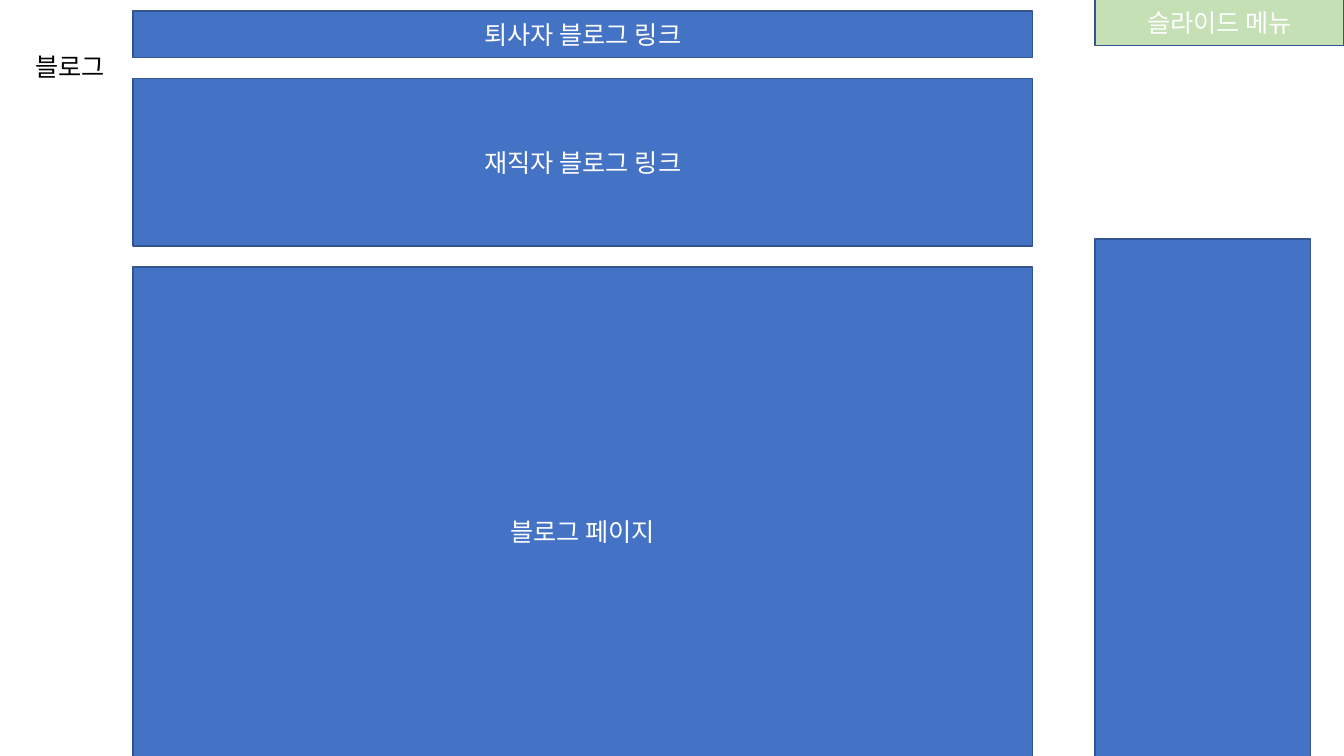
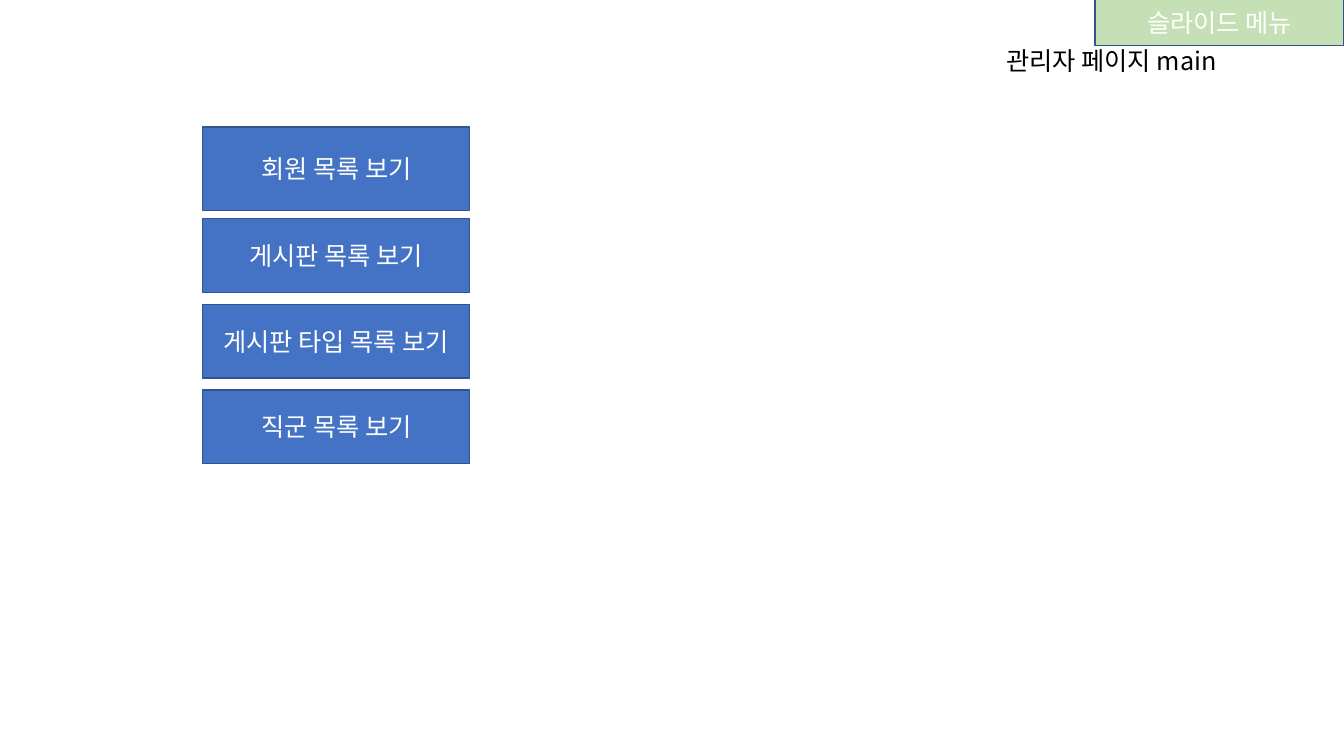
"""Build two wireframe slides: the blog page and the admin main page."""
from lxml.etree import SubElement
from pptx import Presentation
from pptx.dml.color import RGBColor
from pptx.enum.shapes import MSO_SHAPE
from pptx.enum.text import MSO_ANCHOR, MSO_AUTO_SIZE, PP_ALIGN
from pptx.oxml.ns import qn
from pptx.util import Inches, Pt

FONT = "Noto Sans CJK KR"
COLORS = {
    "box": "4472C4",
    "menu": "C5E0B4",
    "border": "325491",
    "light": "FFFFFF",
    "dark": "000000",
}


def set_text(sp, text, color, align, anchor):
    tf = sp.text_frame
    tf.text = text
    tf.vertical_anchor = anchor
    p = tf.paragraphs[0]
    p.alignment = align
    for r in p.runs:
        r.font.size = Pt(18)
        r.font.name = FONT
        r.font.color.rgb = RGBColor.from_string(COLORS[color])
        SubElement(r.font._element, qn("a:ea")).set("typeface", FONT)


def add_box(s, left, top, width, height, text="", fill="box"):
    sp = s.shapes.add_shape(MSO_SHAPE.RECTANGLE, Inches(left), Inches(top),
                            Inches(width), Inches(height))
    sp.shadow.inherit = False
    sp.fill.solid()
    sp.fill.fore_color.rgb = RGBColor.from_string(COLORS[fill])
    sp.line.color.rgb = RGBColor.from_string(COLORS["border"])
    sp.line.width = Pt(1)
    set_text(sp, text, "light", PP_ALIGN.CENTER, MSO_ANCHOR.MIDDLE)


prs = Presentation()
prs.slide_width = Inches(13.33)
prs.slide_height = Inches(7.5)

blog_boxes = [
    (1.32, 2.65, 8.92, 5.25, "블로그 페이지"),
    (10.86, 2.37, 2.14, 5.25),
    (1.32, 0.78, 8.92, 1.66, "재직자 블로그 링크"),
    (1.32, 0.11, 8.92, 0.46, "퇴사자 블로그 링크"),
]
admin_boxes = [(2.01, 1.26, 2.65, 0.83, "회원 목록 보기")]
for i, label in enumerate(["게시판 목록 보기", "게시판 타입 목록 보기", "직군 목록 보기"]):
    admin_boxes.append((2.01, 2.17 + 0.85 * i, 2.65, 0.73, label))

pages = [
    ("블로그", 0.25, 0.46, 0.96, blog_boxes),
    ("관리자 페이지 main", 9.88, 0.4, 2.46, admin_boxes),
]

for title_text, left, top, width, boxes in pages:
    s = prs.slides.add_slide(prs.slide_layouts[5])
    title = s.shapes.title
    title.left, title.top = Inches(left), Inches(top)
    title.width, title.height = Inches(width), Inches(0.4)
    set_text(title, title_text, "dark", PP_ALIGN.LEFT, MSO_ANCHOR.TOP)
    title.text_frame.word_wrap = False
    title.text_frame.auto_size = MSO_AUTO_SIZE.SHAPE_TO_FIT_TEXT

    for box in boxes:
        add_box(s, *box)
    add_box(s, 10.86, -0.01, 2.47, 0.46, "슬라이드 메뉴", "menu")

prs.save("out.pptx")
